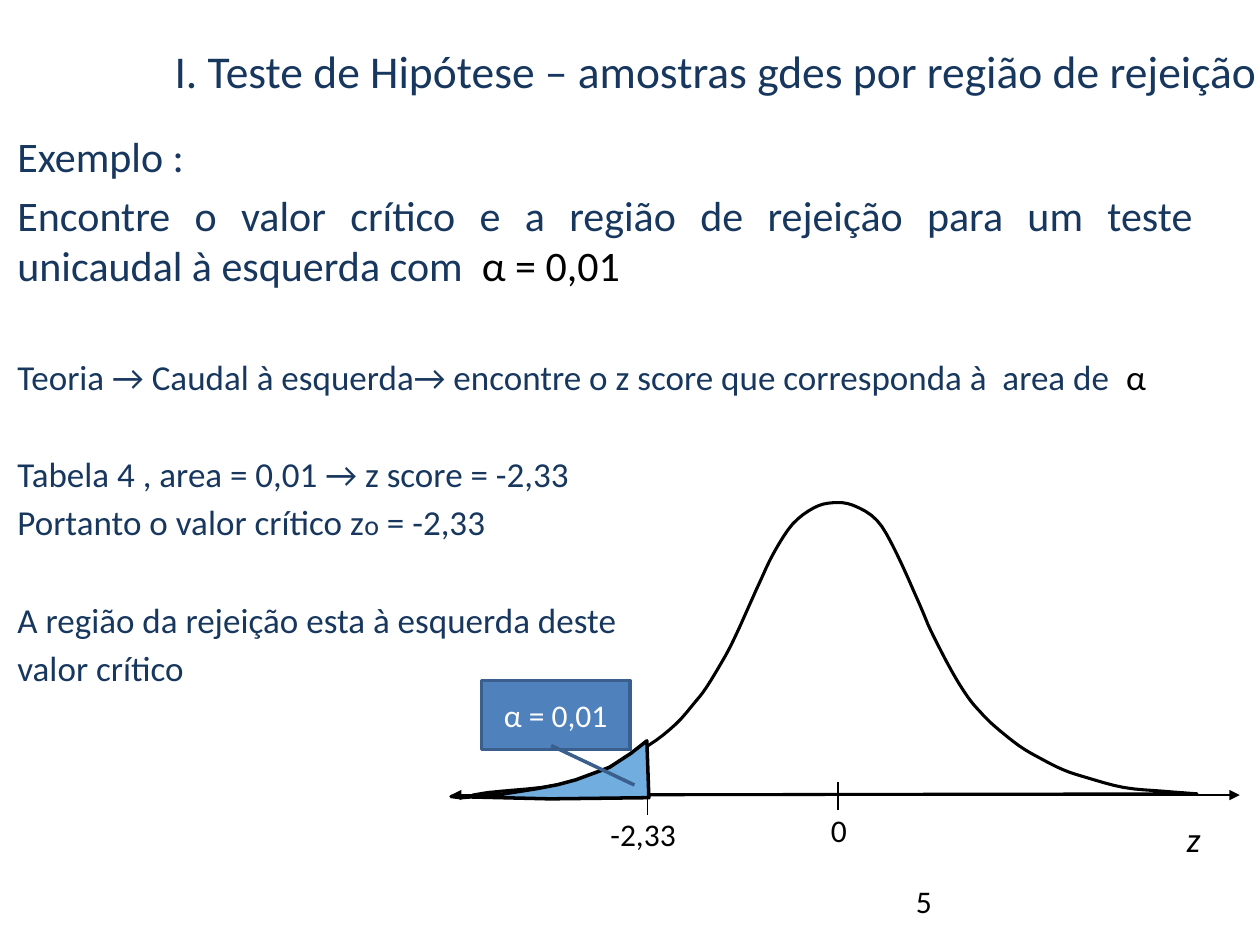
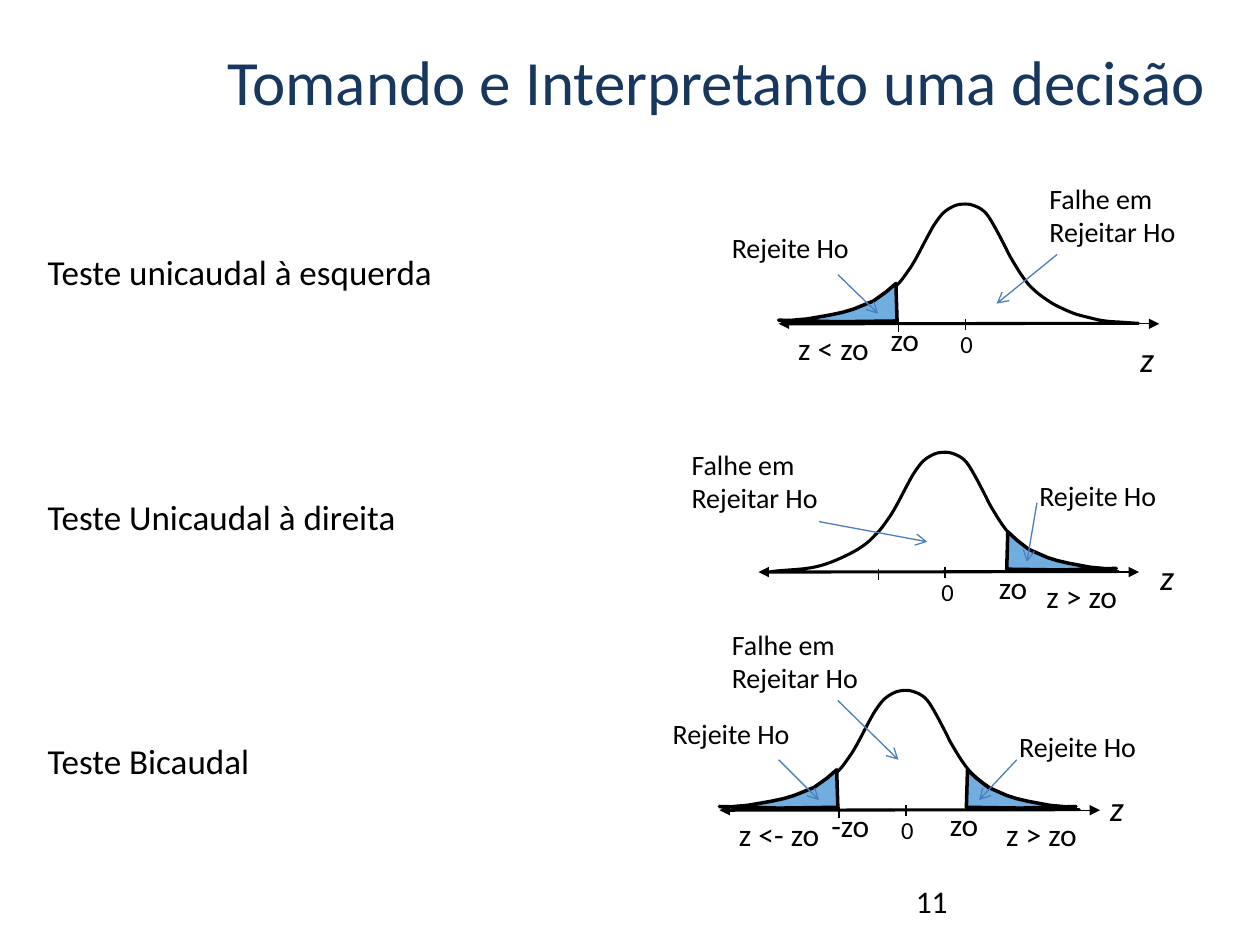
"""Build two slides on rejection regions for hypothesis tests."""
from lxml import etree
from pptx import Presentation
from pptx.dml.color import RGBColor
from pptx.enum.shapes import MSO_CONNECTOR, MSO_SHAPE
from pptx.enum.text import MSO_ANCHOR, PP_ALIGN
from pptx.oxml.ns import qn
from pptx.util import Inches, Pt

BLACK = RGBColor(0x00, 0x00, 0x00)
WHITE = RGBColor(0xFF, 0xFF, 0xFF)
NAVY = RGBColor(0x17, 0x37, 0x5E)
SKY = RGBColor(0x71, 0xAD, 0xDF)
BLUE = RGBColor(0x4F, 0x81, 0xBD)
EDGE = RGBColor(0x3A, 0x5F, 0x8C)
ARROW = RGBColor(0x4B, 0x7E, 0xBC)
LEFT, CENTER, JUSTIFY = PP_ALIGN.LEFT, PP_ALIGN.CENTER, PP_ALIGN.JUSTIFY
TOP, MIDDLE = MSO_ANCHOR.TOP, MSO_ANCHOR.MIDDLE
STRAIGHT, CALLOUT = MSO_CONNECTOR.STRAIGHT, MSO_SHAPE.LINE_CALLOUT_1


def write(shape, paras, align=LEFT, anchor=TOP):
    frame = shape.text_frame
    frame.word_wrap = True
    frame.vertical_anchor = anchor
    for i, (space, runs) in enumerate(paras):
        para = frame.add_paragraph() if i else frame.paragraphs[0]
        para.alignment = align
        if i:
            para.space_before = Pt(space)
        for text, size, color in runs:
            run = para.add_run()
            run.text = text
            style = {"name": "Calibri", "size": Pt(size), "italic": text == "z"}
            for key, value in style.items():
                setattr(run.font, key, value)
            run.font.color.rgb = color


def rule(slide, ends, color=BLACK, **heads):
    line = slide.shapes.add_connector(STRAIGHT, *map(Inches, ends))
    line.line.color.rgb = color
    line.line.width = Pt(0.75)
    for end, kind in heads.items():
        etree.SubElement(line.line._ln, qn(f"a:{end}"), type=kind)
    etree.SubElement(line._element.spPr, qn("a:effectLst"))


deck = Presentation()
deck.slide_width, deck.slide_height = Inches(10), Inches(7.5)
pages = []
for title, size, number in (
    ("I. Teste de Hipótese – amostras gdes por região de rejeição", 26, "5"),
    ("Tomando e Interpretanto uma decisão", 36, "11"),
):
    slide = deck.slides.add_slide(deck.slide_layouts[6])
    box = slide.shapes.add_textbox(*map(Inches, (0.98, 0.29, 9.41, 0.8)))
    write(box, [(0, [(title, size, NAVY)])], CENTER)
    box = slide.shapes.add_textbox(*map(Inches, (7.17, 6.95, 2.33, 0.4)))
    write(box, [(0, [(number, 18, BLACK)])])
    pages.append(slide)
first, second = pages

box = first.shapes.add_textbox(*map(Inches, (0.04, 0.99, 9.53, 4.6)))
write(box, [
    (0, [("Exemplo :", 24, NAVY)]),
    (4.4, [("Encontre o valor crítico e a região de rejeição para um teste "
            "unicaudal à esquerda com  ", 24, NAVY), ("α = 0,01", 24, BLACK)]),
    (37.3, [("Teoria → Caudal à esquerda→ encontre o z score que corresponda "
             "à  area de  ", 20, NAVY), ("α", 20, BLACK)]),
    (31.6, [("Tabela 4 , area = 0,01 → z score = -2,33", 20, NAVY)]),
    (3.6, [("Portanto o valor crítico z", 20, NAVY), ("o", 16, NAVY),
           (" = -2,33", 20, NAVY)]),
    (31.6, [("A região da rejeição esta à esquerda deste", 20, NAVY)]),
    (3.6, [("valor crítico", 20, NAVY)]),
], JUSTIFY)

box = second.shapes.add_textbox(*map(Inches, (0.28, 1.94, 4.88, 4.3)))
tests = ("Teste unicaudal à esquerda", "Teste Unicaudal à direita", "Teste Bicaudal")
write(box, [(115.8, [(test, 20, BLACK)]) for test in tests], JUSTIFY)

KNOTS = [
    (0, 0), (0.12, 0.02), (0.22, 0.03), (0.68, 0.08), (1.02, 0.19), (1.39, 0.39),
    (1.61, 0.56), (1.76, 0.73), (1.86, 0.86), (2.01, 1.11), (2.1, 1.29),
    (2.19, 1.49), (2.28, 1.69), (2.39, 1.92), (2.54, 2.15), (2.71, 2.28),
    (2.86, 2.32), (3.02, 2.3), (3.21, 2.18), (3.36, 1.93), (3.55, 1.51),
    (3.64, 1.3), (3.8, 0.99), (3.93, 0.78), (4.03, 0.66), (4.14, 0.55),
    (4.34, 0.39), (4.51, 0.29), (4.69, 0.2), (4.87, 0.14), (5.17, 0.06),
    (5.49, 0.03), (5.75, 0.01),
]
TAIL = [
    (0, 0.94), (0.05, 0.96), (0.24, 0.91), (0.43, 0.81), (0.54, 0.74),
    (0.63, 0.66), (0.8, 0.45), (0.91, 0.21), (0.99, 0), (1, 0.96), (0.5, 0.98),
]
bell = []
padded = [KNOTS[0], *KNOTS, KNOTS[-1]]
for a, b, c, d in zip(padded, padded[1:], padded[2:], padded[3:]):
    for t in (0, 0.25, 0.5, 0.75):
        bell.append([
            q + t * (r - p + t * (2 * p - 5 * q + 4 * r - s
                                  + t * (3 * q - p - 3 * r + s))) / 2
            for p, q, r, s in zip(a, b, c, d)
        ])
bell.append(KNOTS[-1])

PLOTS = [
    (first, 3.58, 6.31, 6.26, 2.32, 1.56, [(3.58, 5.88, 1.57, 0.47)]),
    (second, 6.18, 2.57, 3.02, 0.95, 0.95, [(6.18, 2.25, 0.94, 0.31)]),
    (second, 6.02, 4.54, 3.02, 0.95, 0.95, [(8.86, 4.22, -0.87, 0.31)]),
    (second, 5.71, 6.43, 3.02, 0.95, 0.95,
     [(5.71, 6.11, 0.94, 0.31), (8.54, 6.11, -0.87, 0.31)]),
]
for slide, left, base, span, peak, cut, tails in PLOTS:
    kx, ky = span / 6.26, peak / 2.32
    rule(slide, (left, base, left + span, base), headEnd="triangle", tailEnd="triangle")
    for x, up, down in ((left + cut, 0.06, 0.16), (left + 3.07 * kx, 0.1, 0.12)):
        rule(slide, (x, base - up * ky, x, base + down * ky))
    forms = [([(left + (0.17 + x) * kx, base - y * ky) for x, y in bell], 1.75)]
    for x0, y0, wide, high in tails:
        forms.append(([(x0 + x * wide, y0 + y * high) for x, y in TAIL], 2))
    for points, weight in forms:
        spots = [(Inches(x), Inches(y)) for x, y in points]
        pen = slide.shapes.build_freeform(*spots[0])
        pen.add_line_segments(spots[1:], close=True)
        form = pen.convert_to_shape()
        form.shadow.inherit = False
        form.line.color.rgb = BLACK
        form.line.width = Pt(weight)
        if weight == 2:
            form.fill.solid()
            form.fill.fore_color.rgb = SKY
        else:
            form.fill.background()

LABELS = [
    (first, " 0", 6.44, 6.39, 0.5, 0.4, 18),
    (first, "z", 9.32, 6.44, 0.96, 0.44, 20),
    (first, " -2,33", 4.69, 6.42, 0.9, 0.4, 18),
    (second, "z", 8.95, 2.63, 0.46, 0.18, 20),
    (second, "z", 9.11, 4.36, 0.46, 0.18, 20),
    (second, "z", 8.71, 6.19, 0.46, 0.18, 20),
]
for text, size, wide, high, spots in (
    (" 0", 14, 0.75, 0.34, [(7.48, 2.56), (7.33, 4.53), (7.01, 6.42)]),
    (" z < zo", 18, 0.94, 0.4, [(6.18, 2.56)]),
    (" z > zo", 18, 0.94, 0.4, [(8.15, 4.53), (7.83, 6.42)]),
    (" z <- zo", 18, 0.94, 0.4, [(5.71, 6.42)]),
    ("zo", 18, 0.94, 0.4, [(6.97, 2.49), (7.83, 4.46), (7.44, 6.34)]),
    ("-zo", 18, 0.94, 0.4, [(6.5, 6.35)]),
    ("Rejeite Ho", 16, 1.42, 0.37,
     [(5.71, 1.78), (8.15, 3.75), (5.24, 5.64), (7.99, 5.74)]),
    ("Falhe em Rejeitar Ho", 16, 1.42, 0.64,
     [(8.23, 1.39), (5.39, 3.5), (5.71, 4.93)]),
):
    LABELS += [(second, text, x, y, wide, high, size) for x, y in spots]
for slide, text, *place, size in LABELS:
    box = slide.shapes.add_textbox(*map(Inches, place))
    write(box, [(0, [(text, size, BLACK)])])

for ends in (
    (6.65, 2.18, 6.97, 2.49), (8.39, 2.02, 7.91, 2.41),
    (6.5, 4.14, 7.36, 4.3), (8.23, 3.99, 8.15, 4.46),
    (6.18, 6.03, 6.5, 6.35), (6.65, 5.56, 7.13, 6.03),
    (8.07, 6.03, 7.77, 6.35),
):
    rule(second, ends, ARROW, tailEnd="arrow")

note = first.shapes.add_shape(CALLOUT, *map(Inches, (3.82, 5.4, 1.18, 0.55)))
note.shadow.inherit = False
for i, value in enumerate((0.94, 0.47, 1.51, 1.03)):
    note.adjustments[i] = value
note.fill.solid()
note.fill.fore_color.rgb = BLUE
note.line.color.rgb = EDGE
note.line.width = Pt(2)
write(note, [(0, [("α = 0,01", 18, WHITE)])], CENTER, MIDDLE)

deck.save("out.pptx")
